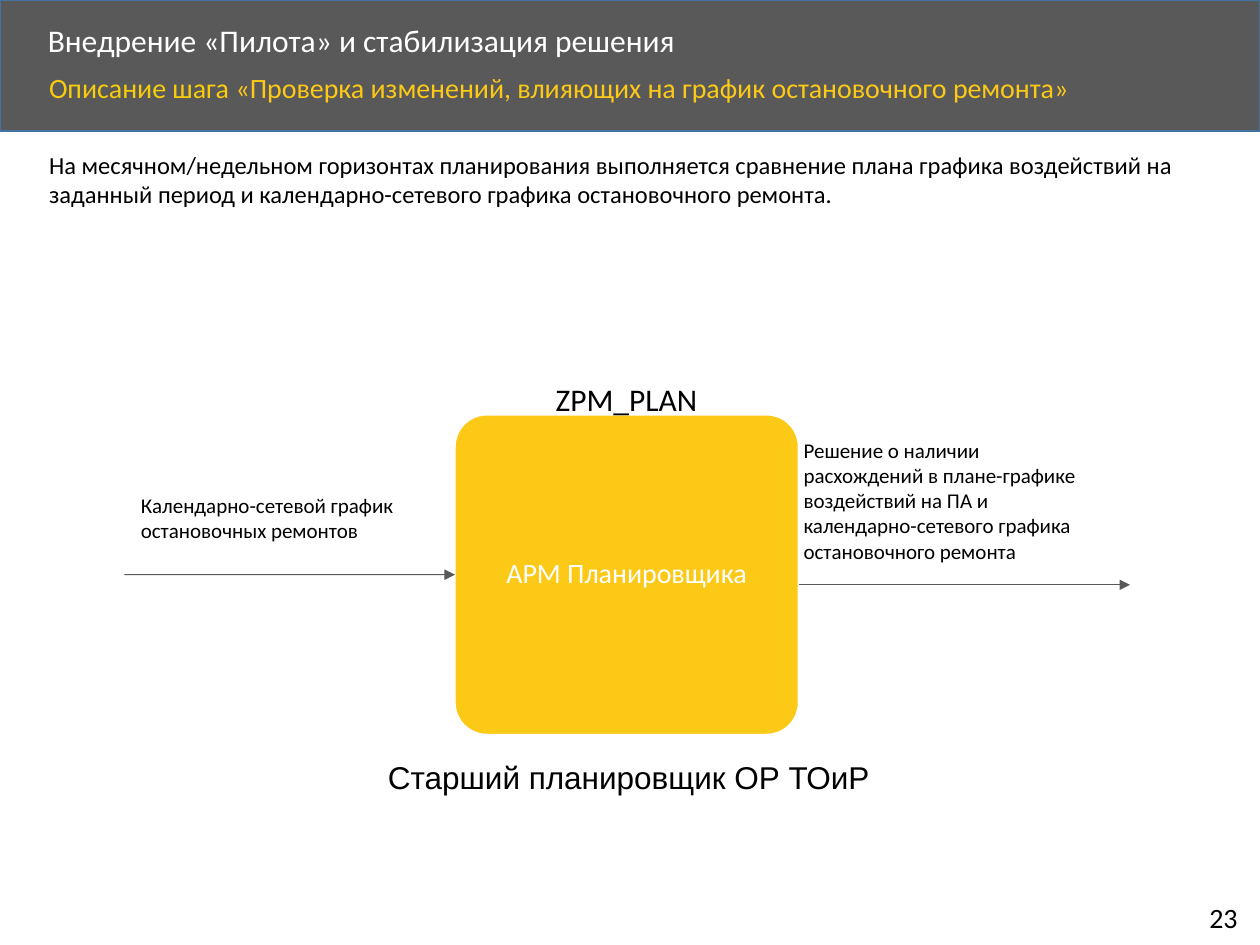
from dataclasses import dataclass

from lxml.etree import SubElement
from pptx import Presentation
from pptx.dml.color import RGBColor
from pptx.enum.shapes import MSO_CONNECTOR, MSO_SHAPE
from pptx.enum.text import MSO_ANCHOR, PP_ALIGN
from pptx.oxml.ns import qn
from pptx.util import Cm, Pt


@dataclass(frozen=True)
class Theme:
    """Colours, fonts and type sizes of the slide."""
    white: RGBColor = RGBColor(0xFF, 0xFF, 0xFF)
    black: RGBColor = RGBColor(0, 0, 0)
    grey: RGBColor = RGBColor(0x59, 0x59, 0x59)
    blue: RGBColor = RGBColor(0x43, 0x73, 0x9E)
    yellow: RGBColor = RGBColor(0xFC, 0xC9, 0x17)
    gold: RGBColor = RGBColor(0xF6, 0xCC, 0x0C)
    font: str = "Calibri"
    role_font: str = "Arial"
    heading: int = 18
    subheading: int = 16
    body: int = 14
    note: int = 12


THEME = Theme()


def format_paragraph(para, size, color=THEME.black, font=THEME.font):
    """Set the font of a whole paragraph."""
    para.font.name = font
    para.font.size = Pt(size)
    para.font.color.rgb = color


def add_block(page, kind, left, top, width, height, fill, line):
    """Add a filled preset shape with a thin outline."""
    block = page.shapes.add_shape(kind, Cm(left), Cm(top), Cm(width), Cm(height))
    block.shadow.inherit = False
    block.fill.solid()
    block.fill.fore_color.rgb = fill
    block.line.color.rgb = line
    block.line.width = Pt(1)
    return block


def add_label(page, text, left, top, width, height, size, font=THEME.font, wrap=True):
    """Add a text box holding one paragraph and return the paragraph."""
    box = page.shapes.add_textbox(Cm(left), Cm(top), Cm(width), Cm(height))
    box.text_frame.word_wrap = wrap
    para = box.text_frame.paragraphs[0]
    para.text = text
    format_paragraph(para, size, font=font)
    return para


def add_arrow(page, left, right, height):
    """Add a thin horizontal arrow pointing right."""
    arrow = page.shapes.add_connector(
        MSO_CONNECTOR.STRAIGHT, Cm(left), Cm(height), Cm(right), Cm(height))
    arrow.line.color.rgb = THEME.grey
    arrow.line.width = Pt(0.5)
    SubElement(arrow.line._get_or_add_ln(), qn("a:tailEnd"), type="triangle")
    SubElement(arrow._element.spPr, qn("a:effectLst"))
    return arrow


def add_header(page):
    """Build the dark band with the title and the step name."""
    band = add_block(page, MSO_SHAPE.RECTANGLE, 0, 0, 25.4, 2.64, THEME.grey, THEME.blue)
    title = page.shapes.title
    title.element.addprevious(band.element)
    title.left, title.top, title.width, title.height = Cm(0.71), Cm(0.36), Cm(20.5), Cm(0.97)
    title.text_frame.vertical_anchor = MSO_ANCHOR.MIDDLE
    para = title.text_frame.paragraphs[0]
    para.text = "Внедрение «Пилота» и стабилизация решения"
    para.alignment = PP_ALIGN.LEFT
    para.line_spacing = 0.9
    format_paragraph(para, THEME.heading, THEME.white)

    step = add_label(page, "Описание шага ", 0.74, 1.37, 21.97, 1.14, THEME.subheading)
    step.line_spacing = 0.9
    step.runs[0].font.color.rgb = THEME.gold
    name = step.add_run()
    name.text = "«Проверка изменений, влияющих на график остановочного ремонта»"
    name.font.color.rgb = THEME.yellow


def add_process(page):
    """Build the workplace block with its incoming and outgoing arrows."""
    left, top, width, height = 9.17, 8.36, 6.93, 6.45
    block = add_block(page, MSO_SHAPE.ROUNDED_RECTANGLE, left, top, width, height,
                      THEME.yellow, THEME.white)
    block.adjustments[0] = 0.1
    block.text_frame.vertical_anchor = MSO_ANCHOR.MIDDLE
    para = block.text_frame.paragraphs[0]
    para.text = "АРМ Планировщика"
    para.alignment = PP_ALIGN.CENTER
    para.line_spacing = 0.9
    format_paragraph(para, THEME.subheading, THEME.white)

    incoming = add_arrow(page, 2.51, left, top + height / 2)
    incoming.end_connect(block, 1)
    add_arrow(page, left + width, 22.78, 11.79)

    add_label(page, "ZPM_PLAN", 10.95, 7.54, 3.4, 1.02, THEME.heading, wrap=False)
    add_label(page, "Старший планировщик ОР ТОиР", 7.57, 15.16, 10.85, 1.02,
              THEME.heading, font=THEME.role_font)
    add_label(page, "Календарно-сетевой график остановочных ремонтов",
              2.59, 9.8, 6.5, 1.27, THEME.note)
    add_label(page, "Решение о наличии расхождений в плане-графике воздействий на ПА и "
              "календарно-сетевого графика остановочного ремонта",
              15.95, 8.69, 6.53, 2.82, THEME.note)


def main():
    """Build the slide and save the deck."""
    deck = Presentation()
    deck.slide_width, deck.slide_height = Cm(25.4), Cm(19.05)
    page = deck.slides.add_slide(deck.slide_layouts[5])
    add_header(page)
    add_label(page, "На месячном/недельном горизонтах планирования выполняется сравнение "
              "плана графика воздействий на заданный период и календарно-сетевого "
              "графика остановочного ремонта.", 0.74, 2.9, 24.03, 1.45, THEME.body)
    add_process(page)
    add_label(page, "23", 24.13, 18.03, 1.17, 0.94, THEME.subheading, wrap=False)
    deck.save("out.pptx")


if __name__ == "__main__":
    main()
